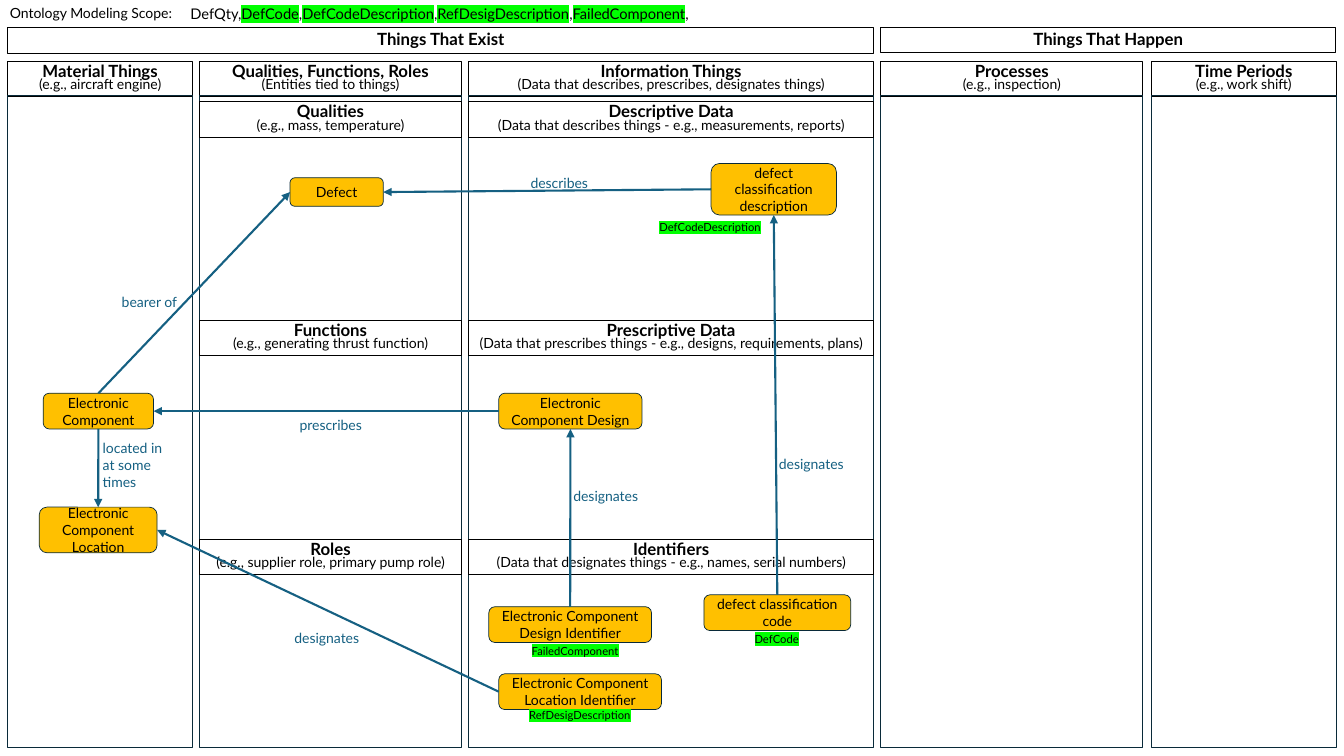
from lxml import etree
from pptx import Presentation
from pptx.dml.color import RGBColor
from pptx.enum.shapes import MSO_CONNECTOR as LINE, MSO_SHAPE as SHAPE
from pptx.enum.text import MSO_ANCHOR as ANCHOR, PP_ALIGN as ALIGN
from pptx.oxml.ns import qn
from pptx.util import Cm, Pt

# Content: lengths in centimetres
COLORS = {"text": "000000", "frame": "000000", "edge": "092A39",
          "box": "FFC000", "relation": "156082", "mark": "00FF00"}

REALMS = [  # title, left, top, width
    ("Things That Exist", 0.2, 0.7, 21.82),
    ("Things That Happen", 22.2, 0.69, 11.46),
]
COLUMNS = [  # left, width, title, example, sections
    (0.2, 4.65, "Material Things", "(e.g., aircraft engine)", []),
    (5.03, 6.6, "Qualities, Functions, Roles", "(Entities tied to things)", [
        ("Qualities", "(e.g., mass, temperature)"),
        ("Functions", "(e.g., generating thrust function)"),
        ("Roles", "(e.g., supplier role, primary pump role)"),
    ]),
    (11.81, 10.21, "Information Things",
     "(Data that describes, prescribes, designates things)", [
         ("Descriptive Data",
          "(Data that describes things - e.g., measurements, reports)"),
         ("Prescriptive Data",
          "(Data that prescribes things - e.g., designs, requirements, plans)"),
         ("Identifiers",
          "(Data that designates things - e.g., names, serial numbers)"),
     ]),
    (22.2, 6.6, "Processes", "(e.g., inspection)", []),
    (29.01, 4.67, "Time Periods", "(e.g., work shift)", []),
]
ENTITIES = {  # key: text, left, top, width, height
    "defect": ("Defect", 7.31, 4.48, 2.35, 0.72),
    "description": ("defect classification description", 17.92, 4.12, 3.16, 1.3),
    "component": ("Electronic Component", 1.09, 9.91, 2.78, 0.9),
    "location": ("Electronic Component Location", 0.99, 12.78, 2.97, 1.15),
    "design": ("Electronic Component Design", 12.57, 9.91, 3.61, 0.9),
    "design id": ("Electronic Component Design Identifier", 12.32, 15.29, 4.1, 0.9),
    "location id": ("Electronic Component Location Identifier", 12.57, 16.98, 4.1, 0.9),
    "code": ("defect classification code", 17.74, 14.99, 3.7, 0.9),
}
TOP, LEFT, BOTTOM, RIGHT = range(4)
RELATIONS = [  # from, side, to, side, label, label left, label top
    ("component", TOP, "defect", LEFT, "bearer of", 2.62, 7.26),
    ("description", LEFT, "defect", RIGHT, "describes", 12.95, 4.27),
    ("design", LEFT, "component", RIGHT, "prescribes", 7.19, 10.37),
    ("design id", TOP, "design", BOTTOM, "designates", 14.12, 12.17),
    ("location id", LEFT, "location", RIGHT, "designates", 7.09, 15.73),
    ("code", TOP, "description", BOTTOM, "designates", 19.3, 11.35),
    ("component", BOTTOM, "location", TOP, "located in at some times", 2.34, 10.95),
]
FIELDS = [  # text, left, top
    ("DefCodeDescription", 16.28, 5.44),
    ("DefCode", 17.96, 15.8),
    ("FailedComponent", 12.88, 16.1),
    ("RefDesigDescription", 13, 17.73),
]
SCOPE_LABEL = "Ontology Modeling Scope:"
SCOPE = [("DefQty", False), ("DefCode", True), ("DefCodeDescription", True),
         ("RefDesigDescription", True), ("FailedComponent", True)]

HEADER_TOP, HEADER_H = 1.55, 0.89
BODY_TOP, BODY_H = 2.41, 16.43
SECTION_TOP, SECTION_STEP = 2.57, 5.51
REALM_H = 0.64

TITLE = {"size": Pt(12), "bold": True, "name": "Lato"}
BODY = {"size": Pt(10), "bold": False, "name": "Lato"}
SCOPE_FONT = {**BODY, "size": Pt(10.5)}
FIELD = {**BODY, "size": Pt(8)}

deck = Presentation()
deck.slide_width, deck.slide_height = Cm(33.87), Cm(19.05)
slide = deck.slides.add_slide(deck.slide_layouts[6])


def color(key):
    return RGBColor.from_string(COLORS[key])


def add_run(paragraph, text, style, ink="text", marked=False):
    run = paragraph.add_run()
    run.text = text
    for name, value in style.items():
        setattr(run.font, name, value)
    run.font.color.rgb = color(ink)
    if marked:
        highlight = etree.Element(qn("a:highlight"))
        etree.SubElement(highlight, qn("a:srgbClr"), val=COLORS["mark"])
        run.font.fill  # the highlight sits between fill and typeface
        run.font._element.find(qn("a:latin")).addprevious(highlight)


def first_paragraph(shape, align, anchor, spacing=None):
    shape.text_frame.word_wrap = True
    shape.text_frame.vertical_anchor = anchor
    paragraph = shape.text_frame.paragraphs[0]
    for name, value in {"alignment": align, "line_spacing": spacing}.items():
        setattr(paragraph, name, value)
    return paragraph


def add_box(place, kind=SHAPE.RECTANGLE, fill=None, edge="frame", weight=0.75):
    box = slide.shapes.add_shape(kind, *map(Cm, place))
    box.shadow.inherit = False
    if fill:
        box.fill.solid()
        box.fill.fore_color.rgb = color(fill)
    else:
        box.fill.background()
    box.line.color.rgb = color(edge)
    box.line.width = Pt(weight)
    return box


def add_heading(place, title, example=None, spacing=0.7):
    box = add_box(place)
    box.text_frame.margin_left = box.text_frame.margin_right = 0
    paragraph = first_paragraph(box, ALIGN.CENTER, ANCHOR.MIDDLE, spacing)
    add_run(paragraph, title, TITLE)
    if example:
        paragraph.add_line_break()
        add_run(paragraph, example, BODY)


def add_label(place, align=ALIGN.CENTER):
    return first_paragraph(slide.shapes.add_textbox(*map(Cm, place)), align, ANCHOR.TOP)


# Realm bars and columns with their sections
for title, left, top, width in REALMS:
    add_heading((left, top, width, REALM_H), title, spacing=0.9)
for left, width, title, example, sections in COLUMNS:
    add_heading((left, HEADER_TOP, width, HEADER_H), title, example)
    add_box((left, BODY_TOP, width, BODY_H), edge="edge")
    for row, section in enumerate(sections):
        add_heading((left, SECTION_TOP + row * SECTION_STEP, width, HEADER_H), *section)

# Scope line
add_run(add_label((0, 0, 4.65, 0.69), ALIGN.LEFT), SCOPE_LABEL, BODY)
scope_line = add_label((4.55, 0, 29.2, 0.7), ALIGN.LEFT)
for field, marked in SCOPE:
    add_run(scope_line, field, SCOPE_FONT, marked=marked)
    add_run(scope_line, ",", SCOPE_FONT)

# Entities
entities = {}
for key, (text, *place) in ENTITIES.items():
    entities[key] = add_box(place, SHAPE.ROUNDED_RECTANGLE, "box", "edge", 0.5)
    add_run(first_paragraph(entities[key], ALIGN.CENTER, ANCHOR.MIDDLE), text, BODY)

# Relations with their labels
for start, start_side, end, end_side, label, left, top in RELATIONS:
    arrow = slide.shapes.add_connector(LINE.STRAIGHT, 0, 0, 0, 0)
    arrow.begin_connect(entities[start], start_side)
    arrow.end_connect(entities[end], end_side)
    arrow.line.color.rgb = color("relation")
    arrow.line.width = Pt(1.5)
    etree.SubElement(arrow.line._get_or_add_ln(), qn("a:tailEnd"), type="triangle")
    etree.SubElement(arrow._element.spPr, qn("a:effectLst"))
    upright = start == "component" and end == "location"
    place = (left, top, 2.29, 1.55 if upright else 0.69)
    add_run(add_label(place, ALIGN.LEFT if upright else ALIGN.CENTER),
            label, BODY, "relation")

# Data field tags
for field, left, top in FIELDS:
    add_run(add_label((left, top, 3.23, 0.61)), field, FIELD, marked=True)

deck.save("out.pptx")
